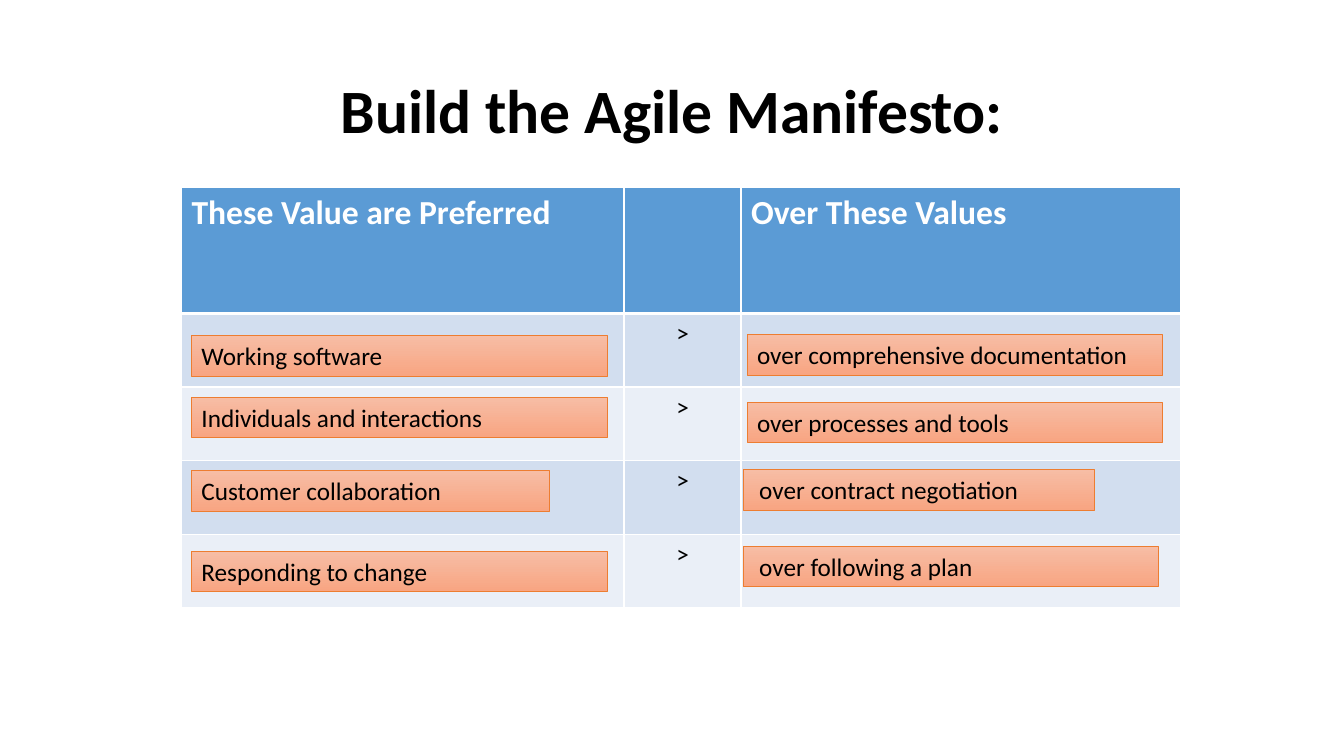
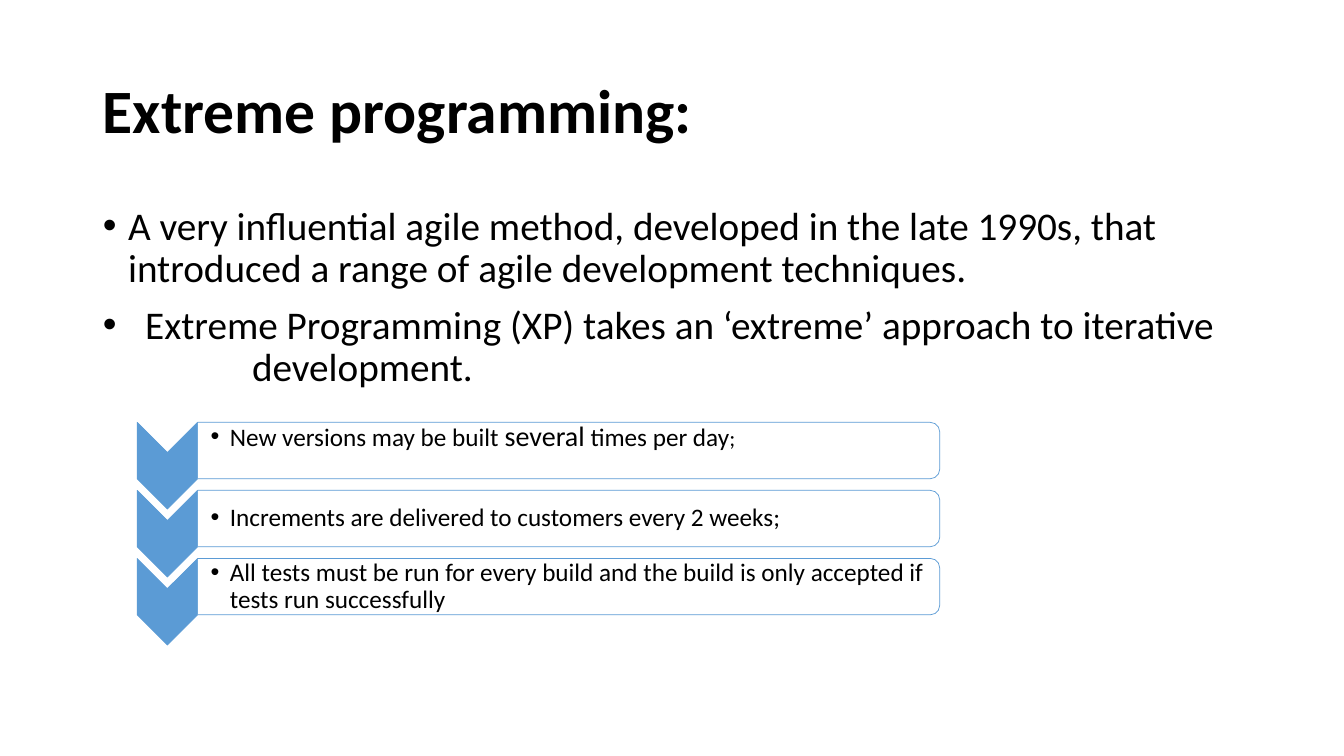
from lxml import etree
from pptx import Presentation
from pptx.dml.color import RGBColor
from pptx.enum.shapes import MSO_SHAPE
from pptx.enum.text import MSO_ANCHOR, MSO_AUTO_SIZE, PP_ALIGN
from pptx.oxml.ns import qn
from pptx.util import Inches, Pt

RECTANGLE = MSO_SHAPE.RECTANGLE
CHEVRON = MSO_SHAPE.CHEVRON
ROUNDED_END = MSO_SHAPE.ROUND_2_SAME_RECTANGLE
LEFT, CENTER = PP_ALIGN.LEFT, PP_ALIGN.CENTER
MIDDLE, TOP = MSO_ANCHOR.MIDDLE, MSO_ANCHOR.TOP
NO_AUTOFIT = MSO_AUTO_SIZE.NONE

CELL = 0.1
FONT = "Calibri"
COLORS = {
    "text": "000000",
    "white": "FFFFFF",
    "blue": "5B9BD5",
    "band": "D2DEEF",
    "light band": "EAEFF7",
    "orange": "ED7D31",
    "card top": "F7BDA5",
    "card bottom": "F8A582",
}


def color(name):
    return RGBColor.from_string(COLORS[name])


def grid(*cells):
    return [Inches(count * CELL) for count in cells]


class Deck:
    """Holds the shared style and the current slide, with lengths in grid cells."""

    def __init__(self):
        self.presentation = Presentation()
        self.presentation.slide_width = Inches(13.33)
        self.presentation.slide_height = Inches(7.5)
        self.slide = None

    def add_slide(self, layout, title, alignment):
        self.slide = self.presentation.slides.add_slide(
            self.presentation.slide_layouts[layout])
        shape = self.slide.shapes.title
        self.place(shape, 9.2, 4, 115, 14.5)
        frame = shape.text_frame
        frame.auto_size = NO_AUTOFIT
        frame.vertical_anchor = MIDDLE
        paragraph = frame.paragraphs[0]
        paragraph.alignment = alignment
        paragraph.line_spacing = 0.9
        self.run(paragraph, title, 44, bold=True)

    def place(self, shape, *cells):
        shape.left, shape.top, shape.width, shape.height = grid(*cells)

    def run(self, paragraph, text, size, tint="text", bold=False):
        run = paragraph.add_run()
        run.text = text
        run.font.name = FONT
        run.font.size = Pt(size)
        run.font.bold = bold
        run.font.color.rgb = color(tint)

    def indent(self, paragraph, margin, bullet=True):
        properties = paragraph._p.get_or_add_pPr()
        width = Inches(margin * CELL)
        properties.set("marL", str(width))
        properties.set("indent", str(-width if bullet else 0))
        if bullet:
            font = etree.SubElement(properties, qn("a:buFont"))
            font.set("typeface", "Arial")
            etree.SubElement(properties, qn("a:buChar")).set("char", "•")
        else:
            etree.SubElement(properties, qn("a:buNone"))
        paragraph.line_spacing = 0.9

    def body(self, items):
        shape = self.slide.placeholders[1]
        self.place(shape, 9.2, 20, 115, 47.6)
        frame = shape.text_frame
        frame.auto_size = NO_AUTOFIT
        for index, (text, margin, bullet, space) in enumerate(items):
            paragraph = frame.add_paragraph() if index else frame.paragraphs[0]
            self.indent(paragraph, margin, bullet)
            paragraph.space_before = Pt(space)
            self.run(paragraph, text, 28)

    def shape(self, kind, cells, fill, line, rotation=0):
        shape = self.slide.shapes.add_shape(kind, *grid(*cells))
        shape.shadow.inherit = False
        shape.rotation = rotation
        shape.line.color.rgb = color(line)
        shape.line.width = Pt(0.5)
        if fill:
            shape.fill.solid()
            shape.fill.fore_color.rgb = color(fill)
        return shape

    def card(self, left, top, width, text, inset=1):
        shape = self.shape(RECTANGLE, (left, top, width, 4), None, "orange")
        shape.fill.gradient()
        shape.fill.gradient_angle = 270
        for stop, name in zip(shape.fill.gradient_stops, ("card top", "card bottom")):
            stop.color.rgb = color(name)
        frame = shape.text_frame
        frame.word_wrap = True
        frame.vertical_anchor = MIDDLE
        frame.margin_left = Inches(inset * CELL)
        paragraph = frame.paragraphs[0]
        paragraph.alignment = LEFT
        self.run(paragraph, text, 18)

    def borders(self, cell, bottom):
        properties = cell._tc.get_or_add_tcPr()
        for index, (side, width) in enumerate(
                (("L", 1), ("R", 1), ("T", 1), ("B", bottom))):
            line = etree.Element(qn(f"a:ln{side}"), w=str(Pt(width)))
            fill = etree.SubElement(line, qn("a:solidFill"))
            etree.SubElement(fill, qn("a:srgbClr")).set("val", COLORS["white"])
            properties.insert(index, line)

    def table(self, left, top, widths, heights, rows):
        table = self.slide.shapes.add_table(
            len(rows), len(widths),
            *grid(left, top, sum(widths), sum(heights))).table
        for column, width in zip(table.columns, grid(*widths)):
            column.width = width
        for row, height in zip(table.rows, grid(*heights)):
            row.height = height
        for row_index, texts in enumerate(rows):
            header = row_index == 0
            fill = "blue" if header else ("light band", "band")[row_index % 2]
            for column_index, text in enumerate(texts):
                cell = table.cell(row_index, column_index)
                cell.fill.solid()
                cell.fill.fore_color.rgb = color(fill)
                cell.vertical_anchor = TOP
                self.borders(cell, 3 if header else 1)
                if text:
                    paragraph = cell.text_frame.paragraphs[0]
                    paragraph.alignment = LEFT if header else CENTER
                    self.run(paragraph, text, 24 if header else 18,
                             "white" if header else "text", header)

    def step(self, top, runs, rise=0):
        self.shape(CHEVRON, (12.3, top + 1, 8.6, 6), "blue", "blue", 90)
        self.shape(ROUNDED_END, (53.6, top - 34.3, 5.6, 73.6), "white", "blue", 90)
        box = self.slide.shapes.add_textbox(*grid(19.5, top - rise, 73.3, 5))
        frame = box.text_frame
        frame.word_wrap = True
        frame.vertical_anchor = MIDDLE
        frame.margin_left = Inches(0.14)
        frame.margin_top = frame.margin_right = frame.margin_bottom = Inches(0.01)
        paragraph = frame.paragraphs[0]
        self.indent(paragraph, 1.9)
        for text, size in runs:
            self.run(paragraph, text, size)


def build_manifesto(deck):
    deck.add_slide(5, "Build the Agile Manifesto:", CENTER)
    header = ("These Value are Preferred", "", "Over These Values")
    deck.table(18, 18.6, (43.9, 11.6, 43.6), (12.5,) + (7.3,) * 4,
               [header] + [("", ">", "")] * 4)
    for top, width, text in (
            (33.3, 41.2, "Working software"),
            (39.4, 41.2, "Individuals and interactions"),
            (46.7, 35.5, "Customer collaboration"),
            (54.7, 41.2, "Responding to change")):
        deck.card(19, top, width, text)
    for left, top, width, text, inset in (
            (74.1, 33.2, 41.2, "over comprehensive documentation", 1),
            (74.1, 39.9, 41.2, "over processes and tools", 1),
            (73.7, 46.6, 34.8, "over contract negotiation", 1.6),
            (73.7, 54.2, 41.2, "over following a plan", 1.6)):
        deck.card(left, top, width, text, inset)


def build_extreme_programming(deck):
    deck.add_slide(1, "Extreme programming:", LEFT)
    deck.body((
        ("A very influential agile method, developed in the late 1990s, that "
         "introduced a range of agile development techniques.", 2.5, True, 0),
        ("Extreme Programming (XP) takes an ‘extreme’ approach to iterative",
         4.2, True, 10),
        ("development.", 14.8, False, 0),
    ))
    steps = (
        ((("New versions may be built ", 18), ("several", 20),
          (" times per day", 18), (";", 16)), 1.3),
        ((("Increments are delivered to customers every 2 weeks;", 18),), 0),
        ((("All tests must be run for every build and the build is only "
           "accepted if tests run successfully", 18),), 0),
    )
    for index, (runs, rise) in enumerate(steps):
        deck.step(42.2 + 6.75 * index, runs, rise)


def main():
    deck = Deck()
    build_manifesto(deck)
    build_extreme_programming(deck)
    deck.presentation.save("out.pptx")


if __name__ == "__main__":
    main()
